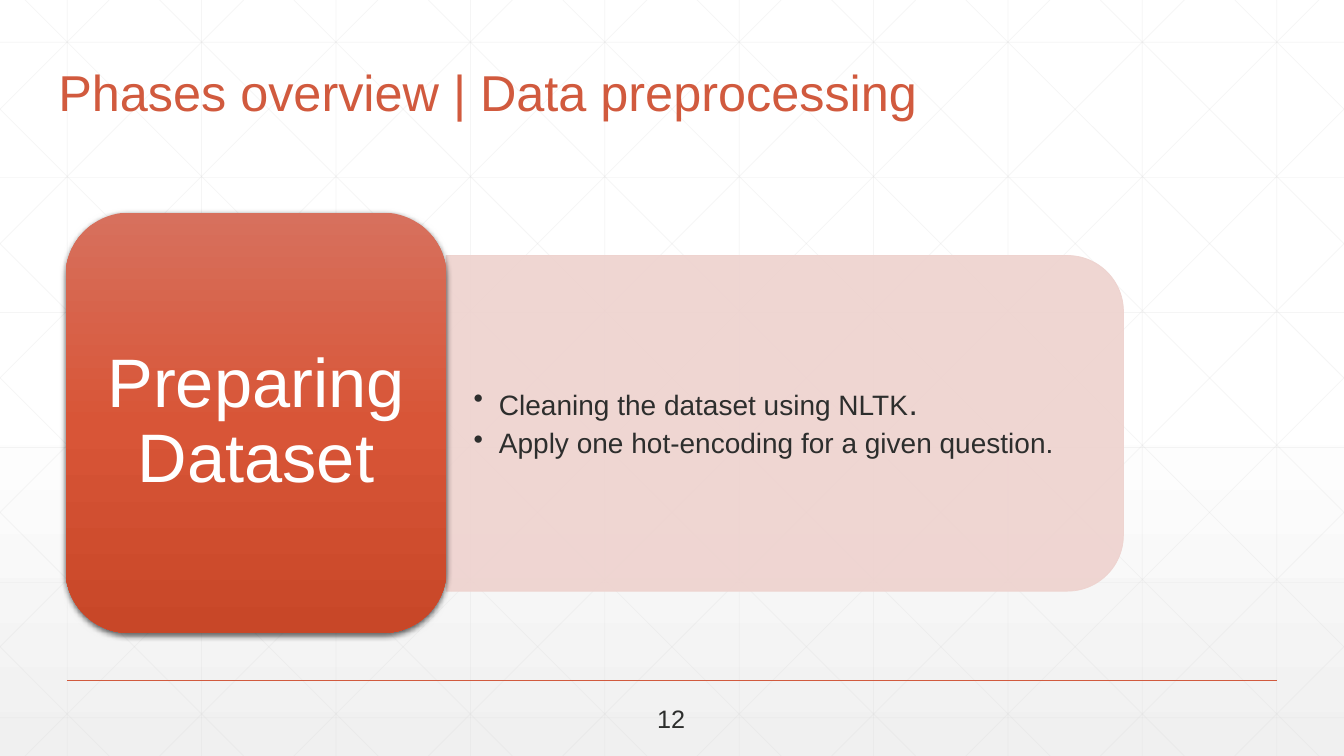
import copy

import pptx
import pptx.dml.color
import pptx.enum.shapes
import pptx.enum.text
import pptx.oxml
import pptx.oxml.ns
import pptx.util
from lxml import etree

RGBColor = pptx.dml.color.RGBColor
Inches = pptx.util.Inches
Pt = pptx.util.Pt
SHAPE = pptx.enum.shapes.MSO_SHAPE
ALIGN = pptx.enum.text.PP_ALIGN
ANCHOR = pptx.enum.text.MSO_ANCHOR
qn = pptx.oxml.ns.qn

ORANGE = RGBColor(0xD1, 0x5A, 0x3E)
PINK = RGBColor(0xEE, 0xD2, 0xCE)
GRID = RGBColor(0xD9, 0xD9, 0xD9)
DARK = RGBColor(0x2D, 0x2E, 0x2D)
WHITE = RGBColor(0xFF, 0xFF, 0xFF)
PALE = RGBColor(0xF0, 0xF0, 0xF0)
CARD = [RGBColor(0xD7, 0x70, 0x5D), RGBColor(0xD8, 0x55, 0x37), RGBColor(0xC8, 0x47, 0x28)]

W, H = 13.333, 7.5
COL, ROW = W / 10, 1.34


def gradient(fill, stops):
    """Fill from top to bottom with (position, colour) stops."""
    fill.gradient()
    fill.gradient_angle = 270
    first = fill._fill._gradFill.find(qn("a:gsLst"))[0]
    while len(fill.gradient_stops) < len(stops):
        first.addnext(copy.deepcopy(first))
    for stop, (position, color) in zip(fill.gradient_stops, stops):
        stop.position, stop.color.rgb = position, color


def write(sp, paragraphs, color=DARK, align=ALIGN.LEFT, anchor=ANCHOR.MIDDLE,
          inset=(0.1, 0.05), spacing=0.9, after=0, bullet=None, wrap=True):
    """Write paragraphs, each a list of (text, size) runs."""
    tf = sp.text_frame
    tf.word_wrap, tf.vertical_anchor = wrap, anchor
    tf.margin_left = tf.margin_right = Inches(inset[0])
    tf.margin_top = tf.margin_bottom = Inches(inset[1])
    for i, runs in enumerate(paragraphs):
        p = tf.add_paragraph() if i else tf.paragraphs[0]
        p.alignment, p.line_spacing, p.space_after = align, spacing, Pt(after)
        if bullet:
            pPr = p._p.get_or_add_pPr()
            pPr.set("marL", str(Inches(0.25)))
            pPr.set("indent", str(-Inches(0.25)))
            etree.SubElement(pPr, qn("a:buChar")).set("char", bullet)
        for text, size in runs:
            r = p.add_run()
            r.text = text
            r.font.name, r.font.size, r.font.color.rgb = "Arial", Pt(size), color


prs = pptx.Presentation()
prs.slide_width, prs.slide_height = Inches(W), Inches(H)
s = prs.slides.add_slide(prs.slide_layouts[6])

# Background
gradient(s.background.fill, [(0, WHITE), (0.53, WHITE), (1, PALE)])

# Grid: columns, rows, then mirrored 45-degree diagonals clipped to the slide
grid = [(COL * (i + 0.5), 0, COL * (i + 0.5), H) for i in range(10)]
grid += [(0, 0.42 + ROW * i, W, 0.42 + ROW * i) for i in range(6)]
for i in range(-5, 10):
    x = 0.25 + COL * i
    drop = min(H, W - x)
    x1, y1, x2, y2 = max(x, 0), max(-x, 0), x + drop, drop
    grid += [(x1, y1, x2, y2), (W - x1, y1, W - x2, y2)]

# Grid lines and the footer rule
rule = (COL / 2, H * 0.9, W - COL / 2, H * 0.9)
for ends in grid + [rule]:
    line = s.shapes.add_connector(pptx.enum.shapes.MSO_CONNECTOR.STRAIGHT, *map(Inches, ends))
    is_rule = ends is rule
    line.line.color.rgb = ORANGE if is_rule else GRID
    line.line.width = Pt(1 if is_rule else 0.5)
    etree.SubElement(line._element.spPr, qn("a:effectLst"))
    if not is_rule:
        srgb = next(line._element.spPr.iter(qn("a:srgbClr")))
        etree.SubElement(srgb, qn("a:alpha")).set("val", "25000")

# Title
title = s.shapes.add_textbox(Inches(0.48), Inches(0.53), Inches(10.5), Inches(0.73))
write(title, [[("Phases overview | Data preprocessing", 36)]], color=ORANGE, anchor=ANCHOR.BOTTOM)

# Panel, turned so that its round corners face right
panel = s.shapes.add_shape(SHAPE.ROUND_2_SAME_RECTANGLE,
                           Inches(6.12), Inches(0.84), Inches(3.33), Inches(6.72))
panel.rotation = 90
panel.shadow.inherit = False
panel.fill.solid()
panel.fill.fore_color.rgb = panel.line.color.rgb = PINK
panel.line.width = Pt(0.5)
for srgb in panel._element.spPr.iter(qn("a:srgbClr")):
    etree.SubElement(srgb, qn("a:alpha")).set("val", "90000")

steps = s.shapes.add_textbox(Inches(4.43), Inches(2.69), Inches(6.56), Inches(3.01))
write(steps, [[("Cleaning the dataset using NLTK", 20), (".", 24)],
              [("Apply one hot-encoding for a given question.", 20)]],
      inset=(0.27, 0.14), after=5, bullet="•")

# Card with a soft shadow below
card = s.shapes.add_shape(SHAPE.ROUNDED_RECTANGLE,
                          Inches(0.65), Inches(2.11), Inches(3.78), Inches(4.17))
gradient(card.fill, list(zip((0, 0.5, 1), CARD)))
card.line.fill.background()
card.shadow.inherit = False
shadow = etree.SubElement(card._element.spPr.find(qn("a:effectLst")), qn("a:outerShdw"),
                          blurRad=str(Pt(4.5)), dist=str(Pt(1.5)), dir="5400000", rotWithShape="0")
black = etree.SubElement(shadow, qn("a:srgbClr"), val="000000")
etree.SubElement(black, qn("a:alpha"), val="63000")
write(card, [[("Preparing Dataset", 49)]], color=WHITE, align=ALIGN.CENTER, inset=(0.2, 0.1))

# Page number
number = s.shapes.add_textbox(Inches(6.42), Inches(6.93), Inches(0.48), Inches(0.4))
write(number, [[("12", 18)]], anchor=ANCHOR.TOP, spacing=1.0, wrap=False)

prs.save("out.pptx")
